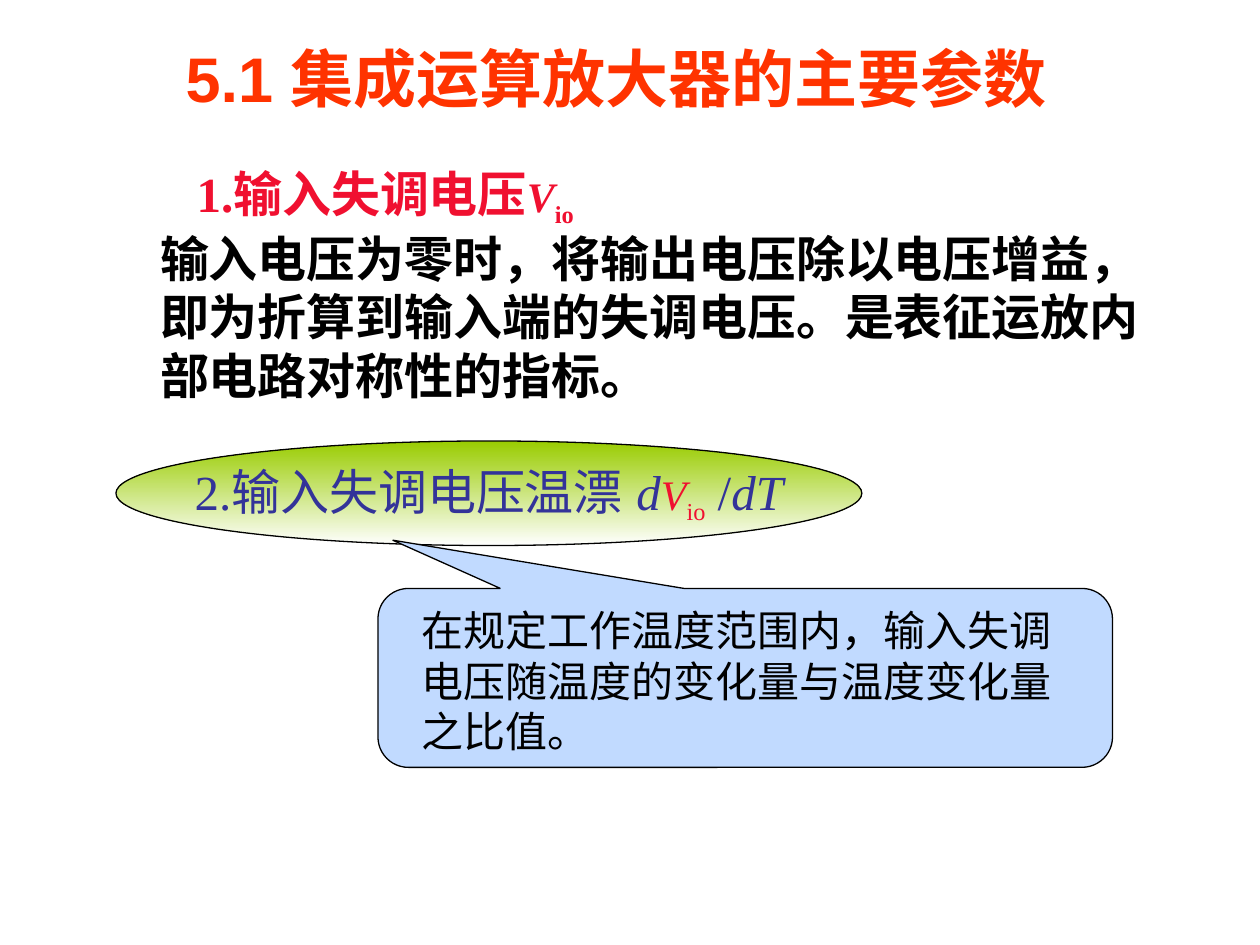
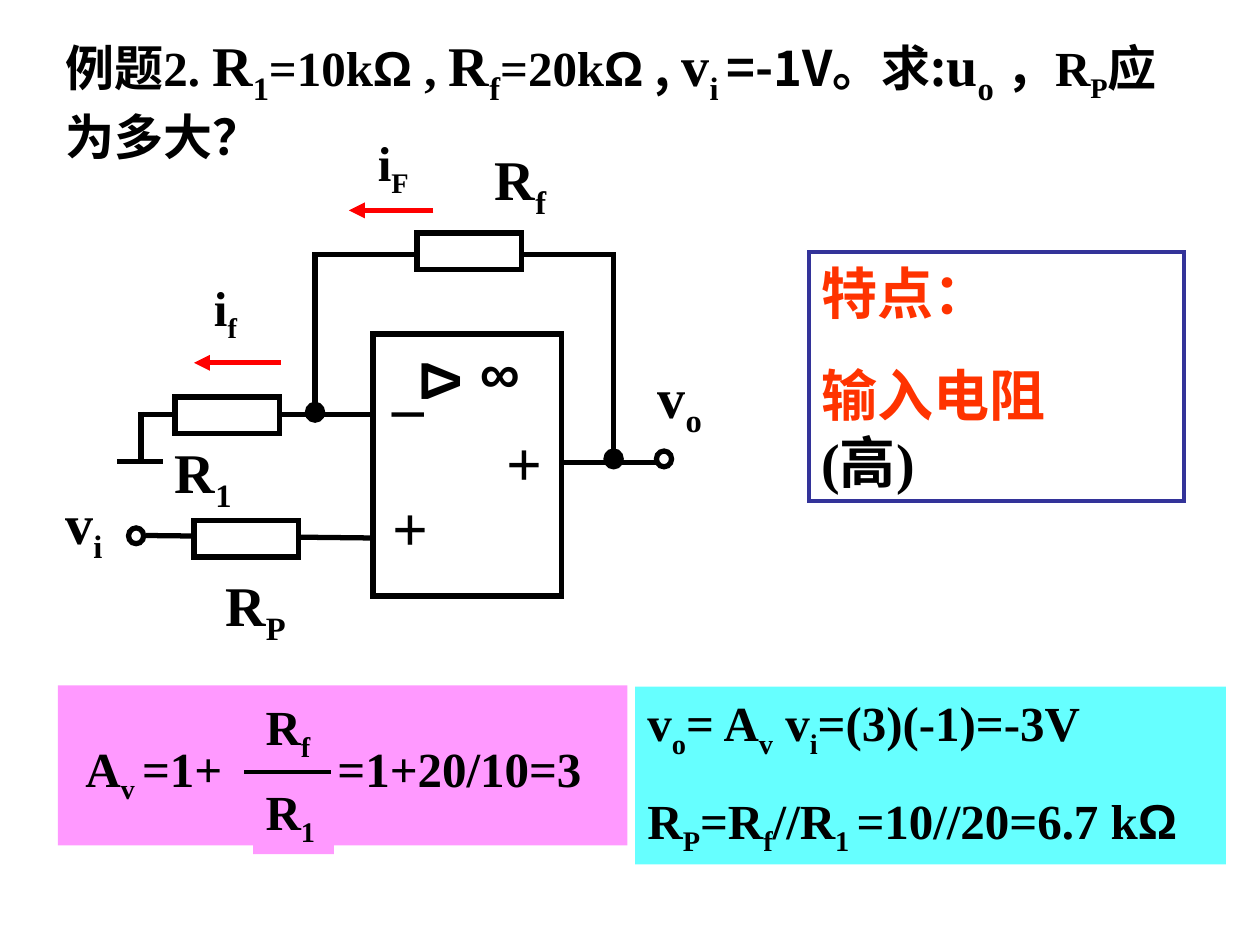
from dataclasses import dataclass
from typing import NamedTuple, Optional

import pptx
import pptx.dml.color
import pptx.enum.lang
import pptx.enum.shapes
import pptx.enum.text
import pptx.oxml
import pptx.oxml.ns
import pptx.util

MSO = pptx.enum.shapes.MSO_SHAPE
ALIGN = pptx.enum.text.PP_ALIGN
ANCHOR = pptx.enum.text.MSO_ANCHOR


@dataclass(frozen=True)
class Theme:
    black: str = "000000"
    white: str = "FFFFFF"
    orange: str = "FF3300"
    crimson: str = "F01030"
    arrow: str = "FF0000"
    navy: str = "333399"
    lime: str = "99CC00"
    pale_blue: str = "C1DAFF"
    cyan: str = "66FFFF"
    pink: str = "FF99FF"
    serif: str = "Times New Roman"
    sans: str = "Arial"
    cjk: str = "Noto Sans CJK SC"
    title: float = 36
    label: float = 32
    body: float = 28
    small: float = 24
    hairline: float = 0.75
    rule: float = 2.25
    wire: float = 3


T = Theme()

# Grid: 100 columns by 75 rows fill the slide
WIDTH, HEIGHT = pptx.util.Inches(10), pptx.util.Inches(7.5)
COLS, ROWS = 100, 75


def col(n: float) -> int:
    return round(WIDTH * n / COLS)


def row(n: float) -> int:
    return round(HEIGHT * n / ROWS)


class Box(NamedTuple):
    left: float
    top: float
    width: float
    height: float


class Wire(NamedTuple):
    x1: float
    y1: float
    x2: float
    y2: float


@dataclass(frozen=True)
class Run:
    text: str
    size: float = T.body
    sub: bool = False
    color: str = T.black
    font: str = T.serif
    bold: bool = True
    italic: bool = False


@dataclass(frozen=True)
class Para:
    runs: list[Run]
    before: float = 0
    align: ALIGN = ALIGN.LEFT
    indent: float = 0
    spacing: float = 1.0


class Label(NamedTuple):
    box: Box
    runs: list[Run]
    rotation: float = 0


def with_sub(base: str, sub: str, size: float = T.body) -> list[Run]:
    return [Run(base, size), Run(sub, size, sub=True)]


def rgb(color: str) -> pptx.dml.color.RGBColor:
    return pptx.dml.color.RGBColor.from_string(color)


def element(tag: str, attributes: str = ""):
    return pptx.oxml.parse_xml(f'<a:{tag} {pptx.oxml.ns.nsdecls("a")} {attributes}/>')


# Text
def add_run(p, run: Run) -> None:
    if run.text == "\n":
        p.add_line_break()
        return
    r = p.add_run()
    r.text = run.text
    f = r.font
    f.size, f.bold, f.italic, f.name = pptx.util.Pt(run.size), run.bold, run.italic, run.font
    f.color.rgb = rgb(run.color)
    f.language_id = pptx.enum.lang.MSO_LANGUAGE_ID.SIMPLIFIED_CHINESE
    props = r._r.get_or_add_rPr()
    # Chinese characters stay sans serif beside serif Latin ones
    east_asian = T.cjk if run.font == T.cjk else T.sans
    props.find(pptx.oxml.ns.qn("a:latin")).addnext(element("ea", f'typeface="{east_asian}"'))
    if run.sub:
        props.set("baseline", "-25000")


def write(sp, paras: list[Para], anchor: ANCHOR = ANCHOR.TOP, wrap: bool = True) -> None:
    tf = sp.text_frame
    tf.auto_size = pptx.enum.text.MSO_AUTO_SIZE.NONE
    tf.word_wrap, tf.vertical_anchor = wrap, anchor
    tf.margin_left = tf.margin_right = pptx.util.Inches(0.1)
    tf.margin_top = tf.margin_bottom = pptx.util.Inches(0.05)
    for i, para in enumerate(paras):
        p = tf.paragraphs[0] if i == 0 else tf.add_paragraph()
        ppr = p._p.get_or_add_pPr()
        ppr.set("marL", "0")
        ppr.set("indent", str(col(para.indent)))
        ppr.append(element("buNone"))
        p.alignment, p.line_spacing = para.align, para.spacing
        p.space_before = pptx.util.Pt(para.before)
        for run in para.runs:
            add_run(p, run)


def place(sp, box: Box) -> None:
    sp.left, sp.top, sp.width, sp.height = (
        col(box.left), row(box.top), col(box.width), row(box.height))


def add_text(s, box: Box, paras: list[Para], rotation: float = 0) -> None:
    sp = s.shapes.add_textbox(0, 0, 0, 0)
    place(sp, box)
    sp.rotation = rotation
    write(sp, paras)


# Shapes and lines
def add_shape(s, kind: MSO, box: Box, fill: Optional[str] = None,
              line: Optional[str] = None, weight: float = T.wire):
    sp = s.shapes.add_shape(kind, 0, 0, 0, 0)
    place(sp, box)
    sp.shadow.inherit = False
    if fill:
        sp.fill.solid()
        sp.fill.fore_color.rgb = rgb(fill)
    else:
        sp.fill.background()
    if line:
        sp.line.color.rgb = rgb(line)
        sp.line.width = pptx.util.Pt(weight)
        sp.line._get_or_add_ln().append(element("miter", 'lim="800000"'))
    else:
        sp.line.fill.background()
    return sp


def add_line(s, wire: Wire, color: str = T.black, weight: float = T.wire,
             arrow: bool = False) -> None:
    c = s.shapes.add_connector(pptx.enum.shapes.MSO_CONNECTOR.STRAIGHT,
                               col(wire.x1), row(wire.y1), col(wire.x2), row(wire.y2))
    c.line.color.rgb = rgb(color)
    c.line.width = pptx.util.Pt(weight)
    if arrow:
        c.line._get_or_add_ln().append(element("tailEnd", 'type="triangle"'))
    c._element.spPr.append(element("effectLst"))


# Slide 1: main parameters
def build_parameters(prs) -> None:
    s = prs.slides.add_slide(prs.slide_layouts[1])
    title, body = s.placeholders
    place(title, Box(13.1, 3.3, 71.6, 6.4))
    write(title, [Para([Run("5.1 集成运算放大器的主要参数", T.title, color=T.orange, font=T.sans)],
                       align=ALIGN.CENTER, spacing=0.9)], ANCHOR.MIDDLE, wrap=False)

    place(body, Box(11.7, 12.5, 80.8, 20.1))
    write(body, [
        Para([Run("1.输入失调电压", color=T.crimson),
              Run("V", T.small, color=T.crimson, italic=True),
              Run("io", T.small, sub=True, color=T.crimson)], indent=2.9),
        Para([Run("输入电压为零时，将输出电压除以电压增益，即为折算到输入端的失调电压。"
                  "是表征运放内部电路对称性的指标。")])])

    # Drift heading
    drift = add_shape(s, MSO.OVAL, Box(9.2, 35, 59.2, 8.3), T.lime, T.black, T.hairline)
    drift.fill.gradient()
    drift.fill.gradient_angle = 270
    for stop, color, position in zip(drift.fill.gradient_stops, (T.lime, T.white), (0, 1)):
        stop.color.rgb = rgb(color)
        stop.position = position
    write(drift, [Para([
        Run("2.输入失调电压温漂 ", color=T.navy, bold=False),
        Run("d", color=T.navy, bold=False, italic=True),
        Run("V", T.small, color=T.crimson, bold=False, italic=True),
        Run("io", T.small, sub=True, color=T.crimson, bold=False),
        Run(" /", color=T.navy, bold=False),
        Run("dT", color=T.navy, bold=False, italic=True)], align=ALIGN.CENTER)],
        ANCHOR.MIDDLE, wrap=False)

    # Definition callout
    callout = add_shape(s, MSO.ROUNDED_RECTANGULAR_CALLOUT, Box(30, 46.7, 58.3, 14.2),
                        T.pale_blue, T.black, T.hairline)
    for i, value in enumerate((-0.48, -0.77, 0.17)):
        callout.adjustments[i] = value
    add_text(s, Box(32.5, 47.5, 52, 13), [Para([Run(
        "在规定工作温度范围内，输入失调电压随温度的变化量与温度变化量之比值。",
        T.small, bold=False)])])


# Slide 2: worked example
WIRES = [
    Wire(44.6, 36.7, 52.1, 36.7), Wire(11.6, 42.5, 29.6, 42.7),
    Wire(22.3, 32.9, 29.8, 32.9), Wire(24.8, 20.2, 48.9, 20.2),
    Wire(48.7, 20.2, 48.7, 36.9), Wire(25, 20.2, 25, 33),
    Wire(11.1, 32.9, 24.2, 32.9), Wire(9.3, 36.6, 12.9, 36.6),
    Wire(11.2, 32.7, 11.2, 36.7),
]
RESISTORS = [(33.1, 18.5), (13.9, 31.5), (15.4, 41.3)]
JUNCTIONS = [(24.4, 32.1), (48.1, 35.8)]
TERMINALS = [(52.1, 35.8), (10.2, 41.9)]
CURRENT_ARROWS = [Wire(22.3, 28.8, 15.4, 28.8), Wire(34.4, 16.7, 27.7, 16.7)]
LABELS = [
    Label(Box(30.2, 26.9, 4.4, 7), [Run("_", T.title)]),
    Label(Box(30.2, 38.3, 4.4, 7), [Run("+", T.title)]),
    Label(Box(39.2, 33.1, 4.4, 7), [Run("+", T.title)]),
    Label(Box(32.2, 27.5, 6, 6.4), [Run("Δ", T.label, font=T.sans)], 90),
    Label(Box(37.1, 26.3, 12.3, 6.4), [Run("∞", T.label, font=T.sans)]),
    Label(Box(38.3, 11, 9.2, 7.1), with_sub("R", "f", T.label)),
    Label(Box(12.9, 34.2, 9.2, 7.1), with_sub("R", "1", T.label)),
    Label(Box(16.9, 44.8, 9.2, 7.1), with_sub("R", "P", T.label)),
    Label(Box(4.2, 38.3, 14.4, 7.1), with_sub("v", "i", T.label)),
    Label(Box(51.2, 28.3, 9, 7.1), with_sub("v", "o", T.label)),
    Label(Box(29, 10, 7.3, 6.3), with_sub("i", "F")),
    Label(Box(16, 21.5, 7.3, 6.3), with_sub("i", "f")),
]


def draw_circuit(s) -> None:
    add_shape(s, MSO.RECTANGLE, Box(29.6, 26.5, 15, 20.8), line=T.black)
    for wire in WIRES:
        add_line(s, wire)
    for x, y in RESISTORS:
        add_shape(s, MSO.RECTANGLE, Box(x, y, 8.3, 2.9), T.white, T.black)
    for spots, fill in ((JUNCTIONS, T.black), (TERMINALS, None)):
        for x, y in spots:
            add_shape(s, MSO.OVAL, Box(x, y, 1.2, 1.25), fill, T.black)
    for arrow in CURRENT_ARROWS:
        add_line(s, arrow, T.arrow, arrow=True)
    for label in LABELS:
        add_text(s, label.box, [Para(label.runs)], label.rotation)


def build_example(prs) -> None:
    s = prs.slides.add_slide(prs.slide_layouts[5])
    question = s.shapes.title
    place(question, Box(4.2, 1.9, 91.9, 11.8))
    write(question, [Para([
        Run("例题2. "), *with_sub("R", "1", T.label), Run("=10k"), Run("Ω", font=T.sans),
        Run(" , "), *with_sub("R", "f", T.label), Run("=20k"), Run("Ω", font=T.sans),
        Run(" , ", font=T.cjk), *with_sub("v", "i ", T.label),
        Run("=-1V。求:", font=T.cjk), *with_sub("u", "o", T.label),
        *with_sub(" ，R", "P"), Run("应为多大？")])])

    draw_circuit(s)

    # Results
    results = add_shape(s, MSO.RECTANGLE, Box(50.4, 54.5, 46.9, 14.1), T.cyan)
    write(results, [
        Para([*with_sub("v", "o"), *with_sub("= A", "v"), *with_sub(" v", "i"),
              Run("=(3)(-1)=-3V")]),
        Para([*with_sub("R", "P"), *with_sub("=R", "f"), *with_sub("//R", "1 "),
              Run("=10//20=6.7 k"), Run("Ω", font=T.sans)], before=17.5)])

    # Gain: left side, fraction, then the value on top
    add_shape(s, MSO.RECTANGLE, Box(4.6, 54.4, 45.2, 12.7), T.pink)
    add_text(s, Box(5.8, 58.1, 14, 6.3), [Para([*with_sub("A", "v "), Run("=1+")])])
    for top, width, sub in ((54.8, 7.7, "f"), (61.5, 6.4, "1")):
        part = add_shape(s, MSO.RECTANGLE, Box(20.1, top, width, 6.3), T.pink)
        write(part, [Para(with_sub("R", sub))])
    add_line(s, Wire(19.4, 61.3, 26.3, 61.3), weight=T.rule)
    add_text(s, Box(25.8, 58.1, 22, 6.3), [Para([Run("=1+20/10=3")])])

    # Characteristic
    feature = add_shape(s, MSO.RECTANGLE, Box(64.2, 20, 29.8, 19.8), line=T.navy, weight=T.rule)
    write(feature, [
        Para([Run("特点：", T.label, color=T.orange)]),
        Para([Run("输入电阻", T.label, color=T.orange), Run("\n"), Run("(高)", T.label)],
             before=20)])


def main() -> None:
    prs = pptx.Presentation()
    prs.slide_width, prs.slide_height = WIDTH, HEIGHT
    build_parameters(prs)
    build_example(prs)
    prs.save("out.pptx")


if __name__ == "__main__":
    main()
